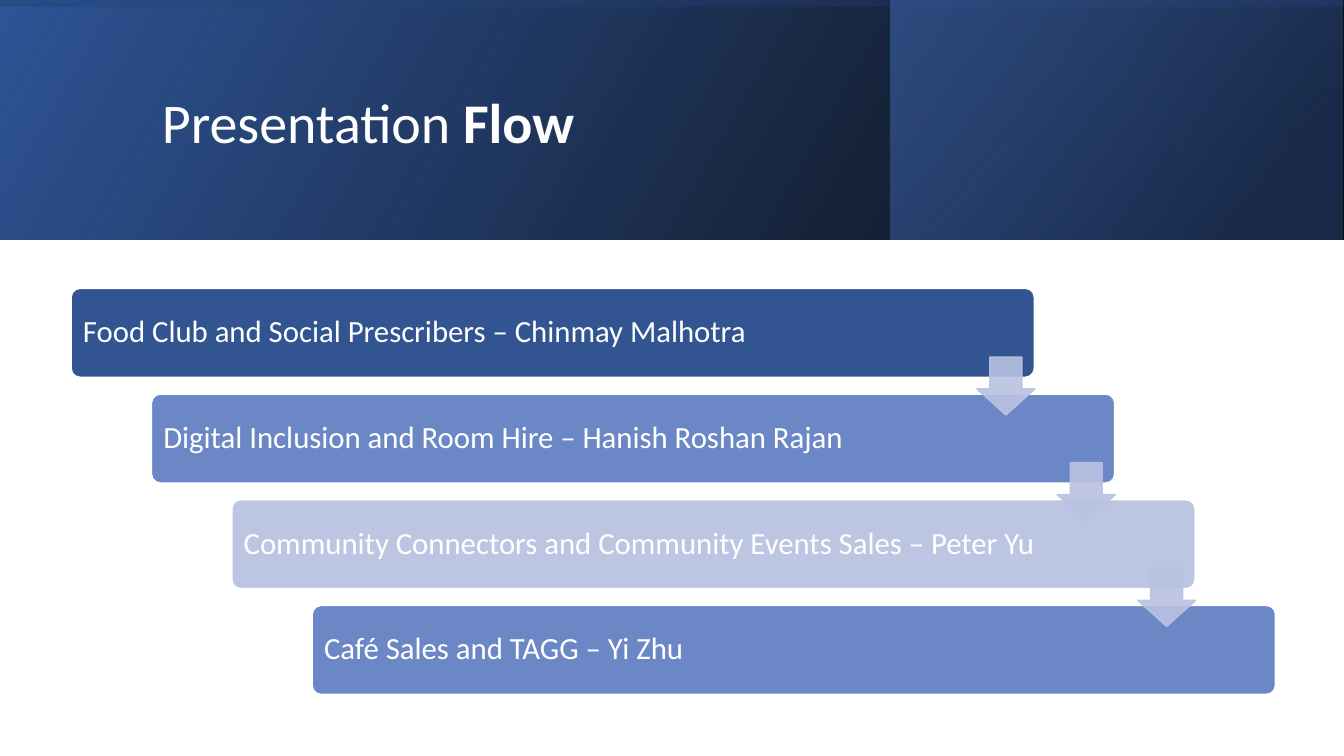
from dataclasses import dataclass

from lxml import etree
from pptx import Presentation
from pptx.dml.color import RGBColor
from pptx.enum.shapes import MSO_SHAPE
from pptx.enum.text import MSO_ANCHOR, MSO_AUTO_SIZE, PP_ALIGN
from pptx.oxml.ns import qn
from pptx.util import Pt

RECTANGLE = MSO_SHAPE.RECTANGLE
ROUNDED = MSO_SHAPE.ROUNDED_RECTANGLE
DOWN_ARROW = MSO_SHAPE.DOWN_ARROW
MIDDLE = MSO_ANCHOR.MIDDLE
LEFT = PP_ALIGN.LEFT
NO_AUTOFIT = MSO_AUTO_SIZE.NONE
TITLE_ONLY = 5


@dataclass(frozen=True)
class Theme:
    font: str = "Calibri"
    title_size: int = 40
    step_size: int = 22
    white: str = "FFFFFF"
    black: str = "000000"
    navy: str = "203864"
    blue: str = "2F5597"
    bright: str = "4472C4"
    deep: str = "325491"
    medium: str = "6C87C5"
    pale: str = "BCC6E2"
    arrow: str = "B9C2E1"


class SlideBuilder:
    def __init__(self, slide, theme):
        self.slide = slide
        self.theme = theme

    def shape(self, kind, left, top, width, height):
        shape = self.slide.shapes.add_shape(
            kind, Pt(left), Pt(top), Pt(width), Pt(height))
        shape.shadow.inherit = False
        return shape

    def paint(self, shape, fill, line, alpha=100):
        shape.fill.solid()
        shape.fill.fore_color.rgb = RGBColor.from_string(fill)
        shape.line.color.rgb = RGBColor.from_string(line)
        shape.line.width = Pt(1)
        if alpha < 100:
            for color in shape._element.spPr.iter(qn("a:srgbClr")):
                etree.SubElement(color, qn("a:alpha"), val=str(alpha * 1000))

    def gradient_panel(self, left, top, width, height, stops, angle, rotation=0):
        """Mirrored panel; stops are (position, colour, opacity) in percent."""
        panel = self.shape(RECTANGLE, left, top, width, height)
        panel.rotation = rotation
        panel.line.fill.background()
        panel.fill.background()
        properties = panel._element.spPr
        properties.find(qn("a:xfrm")).set("flipH", "1")
        gradient = etree.Element(qn("a:gradFill"), rotWithShape="1")
        stop_list = etree.SubElement(gradient, qn("a:gsLst"))
        for position, color, opacity in stops:
            stop = etree.SubElement(stop_list, qn("a:gs"), pos=str(position * 1000))
            value = etree.SubElement(stop, qn("a:srgbClr"), val=color)
            etree.SubElement(value, qn("a:alpha"), val=str(opacity * 1000))
        etree.SubElement(gradient, qn("a:lin"), ang=str(angle * 60000), scaled="0")
        properties.replace(properties.find(qn("a:noFill")), gradient)

    def add_text(self, frame, runs, size):
        frame.word_wrap = True
        frame.auto_size = NO_AUTOFIT
        frame.vertical_anchor = MIDDLE
        paragraph = frame.paragraphs[0]
        paragraph.alignment = LEFT
        paragraph.line_spacing = 0.9
        for text, bold in runs:
            run = paragraph.add_run()
            run.text = text
            run.font.name = self.theme.font
            run.font.size = Pt(size)
            run.font.bold = bold
            run.font.color.rgb = RGBColor.from_string(self.theme.white)

    def title(self, left, top, width, height, runs):
        title = self.slide.shapes.title
        title.left, title.top = Pt(left), Pt(top)
        title.width, title.height = Pt(width), Pt(height)
        self.add_text(title.text_frame, runs, self.theme.title_size)
        # Bring the title in front of the banner
        self.slide.shapes._spTree.append(title._element)

    def step(self, left, top, width, height, text, color):
        bar = self.shape(ROUNDED, left, top, width, height)
        bar.adjustments[0] = 0.1
        self.paint(bar, color, self.theme.white)
        frame = bar.text_frame
        frame.margin_left = frame.margin_right = Pt(6.6)
        frame.margin_top = frame.margin_bottom = Pt(6.6)
        self.add_text(frame, [(text, False)], self.theme.step_size)

    def arrow(self, left, top, size):
        arrow = self.shape(DOWN_ARROW, left, top, size, size)
        # The first adjustment is the head length, the second the shaft width
        arrow.adjustments[0], arrow.adjustments[1] = 0.55, 0.45
        self.paint(arrow, self.theme.arrow, self.theme.arrow, alpha=90)


def main():
    presentation = Presentation()
    presentation.slide_width, presentation.slide_height = Pt(960), Pt(540)
    slide = presentation.slides.add_slide(presentation.slide_layouts[TITLE_ONLY])
    theme = Theme()
    builder = SlideBuilder(slide, theme)

    # Banner: base, right panel, and a quarter-turned shade over the full width
    width, height = 960, 171
    builder.gradient_panel(0, 0, width, height,
                           [(0, theme.black, 96), (100, theme.blue, 100)], 330)
    builder.gradient_panel(636, 0, 323, height,
                           [(19, theme.navy, 68), (100, theme.bright, 48)], 320)
    offset = (width - height) / 2
    builder.gradient_panel(offset, -offset, height, width,
                           [(23, theme.blue, 16), (99, theme.black, 45)], 350, 270)
    builder.title(108.5, 27.5, 765, 124, [("Presentation", False), (" Flow", True)])

    # Staircase of steps
    steps = [
        ("Food Club and Social Prescribers – Chinmay Malhotra", theme.deep),
        ("Digital Inclusion and Room Hire – Hanish Roshan Rajan", theme.medium),
        ("Community Connectors and Community Events Sales – Peter Yu", theme.pale),
        ("Café Sales and TAGG – Yi Zhu", theme.medium),
    ]
    left, top, step_x, step_y = 50.8, 206, 57.4, 75.5
    for index, (text, color) in enumerate(steps):
        builder.step(left + index * step_x, top + index * step_y,
                     688, 63.5, text, color)

    # Arrows between neighbouring steps
    for index in range(len(steps) - 1):
        builder.arrow(left + 647 + index * step_x, top + 49 + index * step_y, 41.5)

    presentation.save("out.pptx")


if __name__ == "__main__":
    main()
